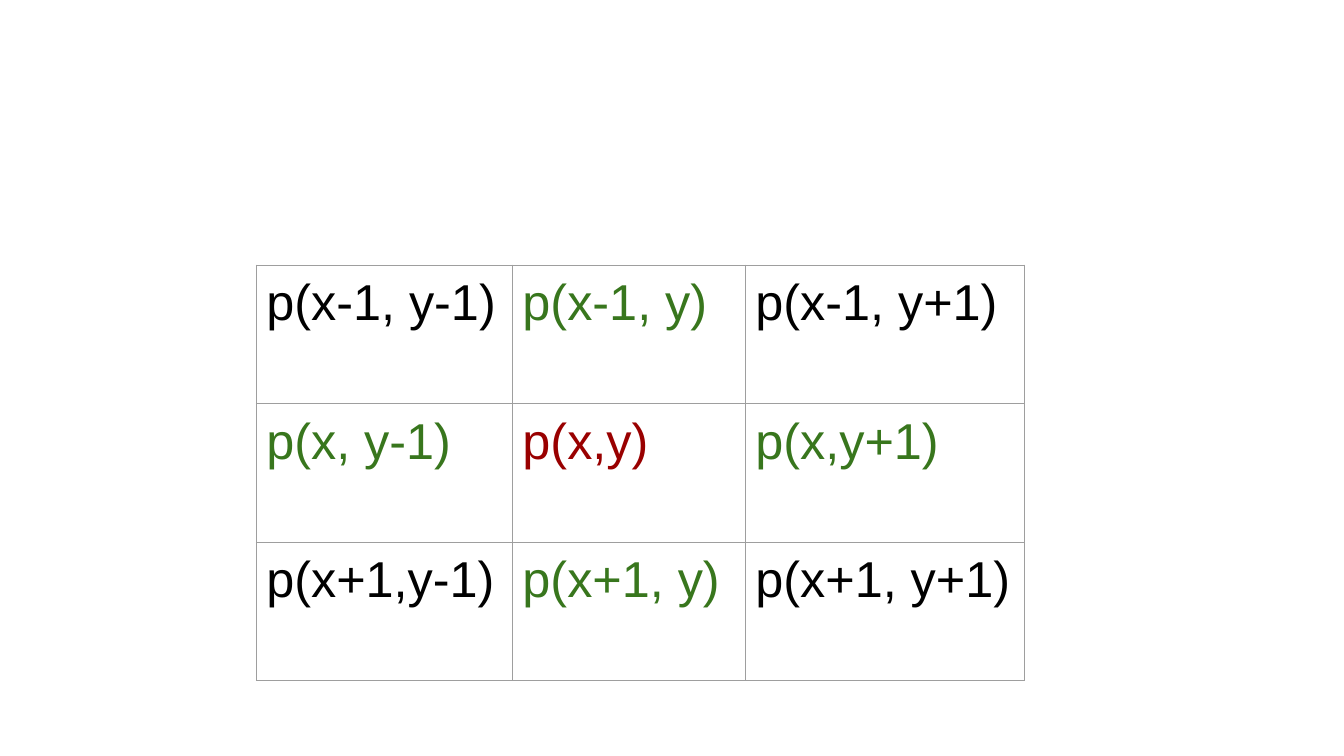
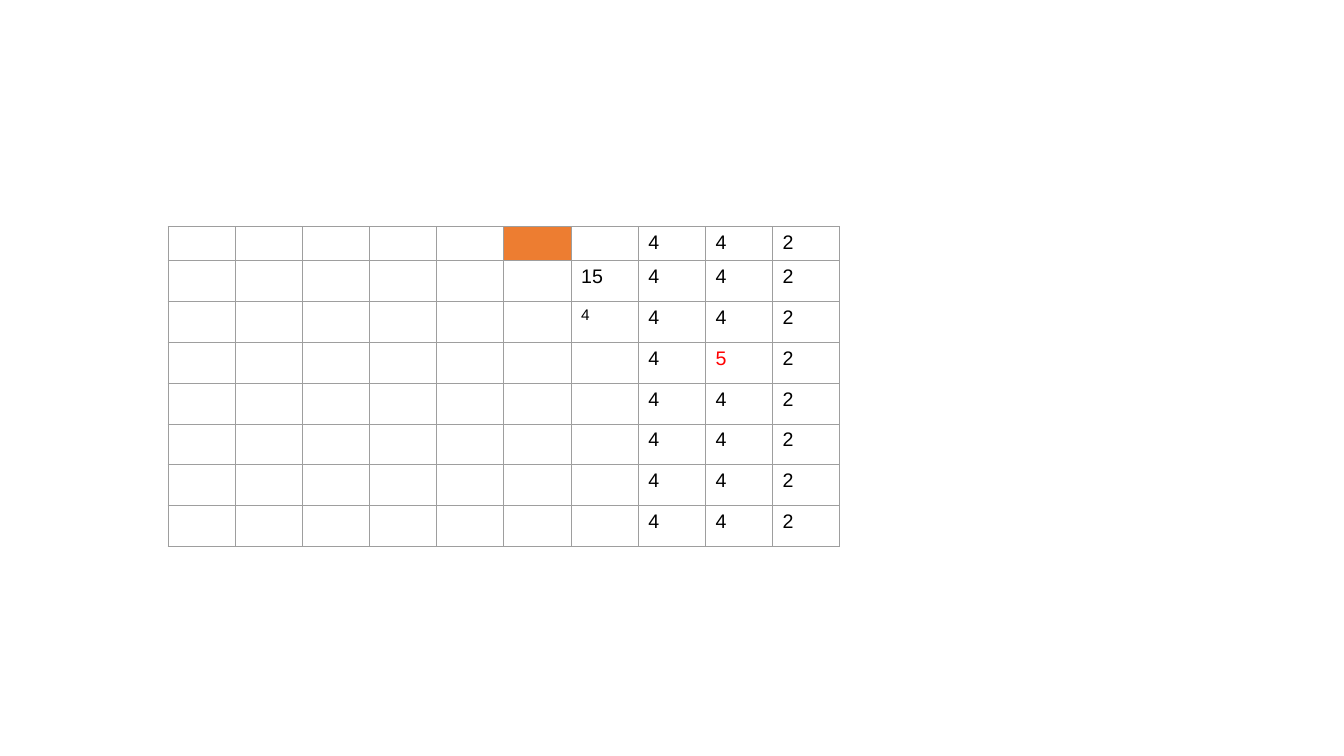
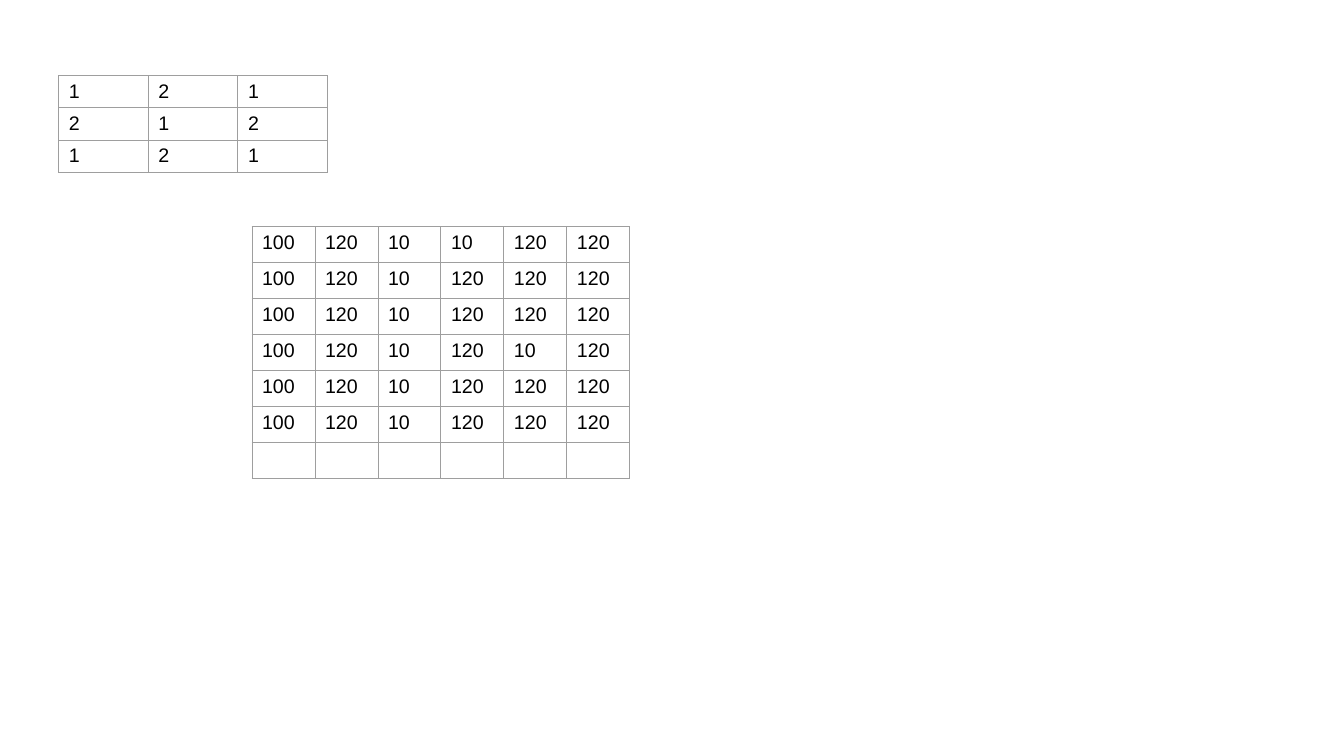
from lxml import etree
from pptx import Presentation
from pptx.dml.color import RGBColor
from pptx.enum.text import MSO_ANCHOR
from pptx.oxml.ns import qn
from pptx.util import Pt

TOP = MSO_ANCHOR.TOP
BLACK, WHITE, GREY = "000000", "FFFFFF", "9E9E9E"
GREEN, DARK_RED, RED, ORANGE = "38761D", "990000", "FF0000", "ED7D31"


def color(hex_string):
    return RGBColor.from_string(hex_string)


def write(text_frame, text, size=14, ink=BLACK, font="Arial"):
    """Write one paragraph; an empty one keeps the size for its line height."""
    paragraph = text_frame.paragraphs[0]
    if not text:
        end = etree.SubElement(paragraph._p, qn("a:endParaRPr"))
        end.set("sz", str(size * 100))
        return
    run = paragraph.add_run()
    run.text = text
    run.font.name = font
    run.font.size = Pt(size)
    run.font.color.rgb = color(ink)


class Deck:
    border_width = 0.75
    border_color = GREY

    def __init__(self, width, height):
        self.presentation = Presentation()
        self.presentation.slide_width = Pt(width)
        self.presentation.slide_height = Pt(height)
        self.slide = None

    def add_slide(self):
        self.slide = self.presentation.slides.add_slide(
            self.presentation.slide_layouts[6])

    def add_borders(self, cell):
        properties = cell._tc.get_or_add_tcPr()
        for side in ("lnL", "lnR", "lnT", "lnB"):
            line = etree.SubElement(properties, qn(f"a:{side}"),
                                    w=str(Pt(self.border_width)))
            fill = etree.SubElement(line, qn("a:solidFill"))
            etree.SubElement(fill, qn("a:srgbClr"), val=self.border_color)

    def add_grid(self, left, top, columns, rows, texts, size=14,
                 margin=3.6, formats=None, fills=None):
        """Draw a table; formats and fills are keyed by (row, column)."""
        formats, fills = formats or {}, fills or {}
        table = self.slide.shapes.add_table(
            len(rows), len(columns), Pt(left), Pt(top),
            Pt(sum(columns)), Pt(sum(rows))).table
        table.first_row = table.horz_banding = False
        for column, width in zip(table.columns, columns):
            column.width = Pt(width)
        for row, height in zip(table.rows, rows):
            row.height = Pt(height)
        for i, row_texts in enumerate(texts):
            for j, text in enumerate(row_texts):
                cell = table.cell(i, j)
                self.add_borders(cell)
                cell.fill.solid()
                cell.fill.fore_color.rgb = color(fills.get((i, j), WHITE))
                cell.vertical_anchor = TOP
                cell.margin_left = cell.margin_right = Pt(7.2)
                cell.margin_top = cell.margin_bottom = Pt(margin)
                write(cell.text_frame, text,
                      **{"size": size, **formats.get((i, j), {})})


def add_neighbours_slide(deck):
    deck.add_slide()
    neighbours = [
        ["p(x-1, y-1)", "p(x-1, y)", "p(x-1, y+1)"],
        ["p(x, y-1)", "p(x,y)", "p(x,y+1)"],
        ["p(x+1,y-1)", "p(x+1, y)", "p(x+1, y+1)"],
    ]
    formats = {place: {"ink": GREEN}
               for place in ((0, 1), (1, 0), (1, 2), (2, 1))}
    formats[1, 1] = {"ink": DARK_RED}
    deck.add_grid(183, 189.4, [183, 166.4, 199.3], [98.9] * 3, neighbours,
                  size=36, margin=7.2, formats=formats)


def add_pixels_slide(deck):
    deck.add_slide()
    pixels = [[""] * 7 + ["4", "4", "2"] for _ in range(8)]
    pixels[1][6] = "15"
    pixels[2][6] = "4"
    pixels[3][8] = "5"
    deck.add_grid(120, 162, [48] * 10, [23] + [29.17] * 7, pixels,
                  formats={(2, 6): {"size": 11}, (3, 8): {"ink": RED}},
                  fills={(0, 5): ORANGE})


def add_kernel_slide(deck):
    deck.add_slide()
    kernel = [["1", "2", "1"], ["2", "1", "2"], ["1", "2", "1"]]
    deck.add_grid(42, 54, [64] * 3, [23] * 3, kernel)
    values = [["100", "120", "10", "120", "120", "120"] for _ in range(6)]
    values[0][3] = values[3][4] = "10"
    values.append([""] * 6)
    deck.add_grid(180, 162, [45] * 6, [25.71] * 7, values)


def main():
    deck = Deck(960, 540)
    add_neighbours_slide(deck)
    add_pixels_slide(deck)
    add_kernel_slide(deck)
    deck.presentation.save("out.pptx")


if __name__ == "__main__":
    main()
